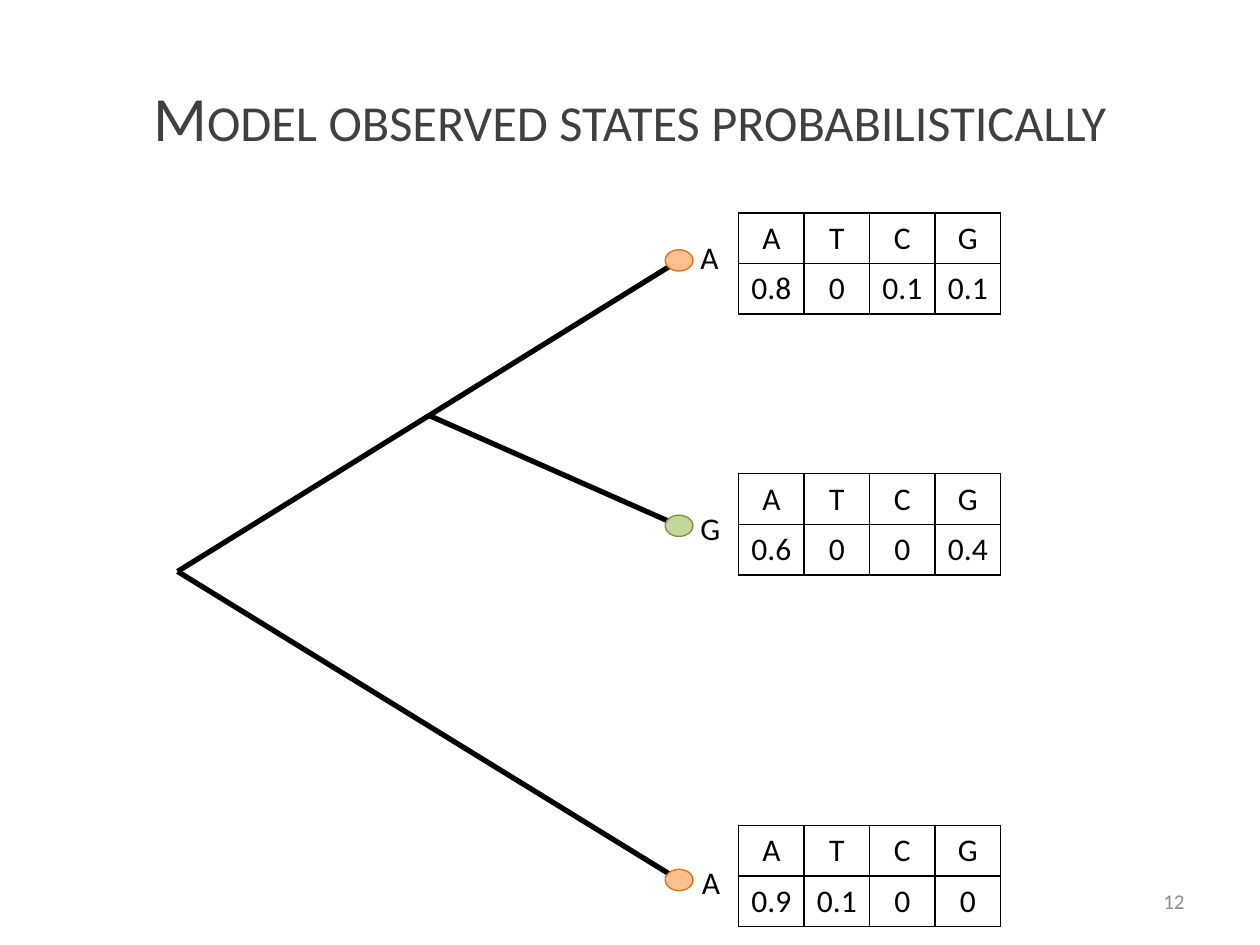
"""Build a slide of a phylogenetic tree with state probabilities at its tips."""
from dataclasses import dataclass, field
from typing import NamedTuple

from lxml.etree import SubElement
from pptx import Presentation
from pptx.dml.color import RGBColor as Rgb
from pptx.enum.shapes import MSO_CONNECTOR as Link, MSO_SHAPE as Preset
from pptx.enum.text import MSO_ANCHOR as Anchor, PP_ALIGN as Align
from pptx.oxml.ns import qn
from pptx.util import Cm, Pt


@dataclass(frozen=True)
class Theme:
    font: str = "Calibri"
    ink: str = "000000"
    title_ink: str = "404040"
    number_ink: str = "8C8C8C"
    title_size: float = 36
    body_size: float = 18
    number_size: float = 12
    branch_width: float = 3
    outline_width: float = 0.75
    border_width: float = 1
    node_colors: dict = field(default_factory=lambda: {
        "A": ("FAC090", "E46C0A"),
        "G": ("C3D69B", "77933C"),
    })


class Point(NamedTuple):
    x: float
    y: float


class Area(NamedTuple):
    left: float
    top: float
    width: float
    height: float

    def lengths(self) -> list:
        return [Cm(value) for value in self]


class Tip(NamedTuple):
    state: str
    center: Point
    label: Point
    table_top: float
    chances: tuple


THEME = Theme()
STATES = ("A", "T", "C", "G")
ROOT, FORK = Point(3.58, 11.52), Point(8.66, 8.38)
TIPS = (
    Tip("A", Point(13.69, 5.25), Point(13.87, 4.67), 4.29, ("0.8", "0", "0.1", "0.1")),
    Tip("G", Point(13.69, 10.6), Point(13.87, 10.13), 9.55, ("0.6", "0", "0", "0.4")),
    Tip("A", Point(13.69, 17.74), Point(13.9, 17.27), 16.64, ("0.9", "0.1", "0", "0")),
)
NODE_WIDTH, NODE_HEIGHT = 0.56, 0.43
TABLE_LEFT, COLUMN_WIDTH, ROW_HEIGHT = 14.89, 1.32, 1.02


def set_all(target: object, values: dict) -> None:
    for name, value in values.items():
        setattr(target, name, value)


def write(frame, text: str, size: float, color: str, align: Align):
    para = frame.paragraphs[0]
    para.alignment = align
    span = para.add_run()
    span.text = text
    set_all(span.font, {"name": THEME.font, "size": Pt(size)})
    span.font.color.rgb = Rgb.from_string(color)
    return span


def add_text(slide, area: Area, text: str, size: float, color: str,
             align: Align, anchor: Anchor = Anchor.MIDDLE, wrap: bool = True):
    box = slide.shapes.add_textbox(*area.lengths())
    set_all(box.text_frame, {"word_wrap": wrap, "vertical_anchor": anchor})
    return write(box.text_frame, text, size, color, align)


def add_branch(slide, start: Point, end: Point) -> None:
    branch = slide.shapes.add_connector(
        Link.STRAIGHT, *(Cm(value) for value in (*start, *end)))
    branch.line.color.rgb = Rgb.from_string(THEME.ink)
    branch.line.width = Pt(THEME.branch_width)
    SubElement(branch.element.spPr, qn("a:effectLst"))


def add_node(slide, tip: Tip) -> None:
    area = Area(tip.center.x - NODE_WIDTH / 2, tip.center.y - NODE_HEIGHT / 2,
                NODE_WIDTH, NODE_HEIGHT)
    node = slide.shapes.add_shape(Preset.OVAL, *area.lengths())
    node.shadow.inherit = False
    fill, outline = THEME.node_colors[tip.state]
    node.fill.solid()
    node.fill.fore_color.rgb = Rgb.from_string(fill)
    node.line.color.rgb = Rgb.from_string(outline)
    node.line.width = Pt(THEME.outline_width)


def add_borders(cell) -> None:
    properties = cell._tc.get_or_add_tcPr()
    for index, side in enumerate(("a:lnL", "a:lnR", "a:lnT", "a:lnB")):
        border = SubElement(properties, qn(side), w=str(Pt(THEME.border_width)))
        paint = SubElement(border, qn("a:solidFill"))
        SubElement(paint, qn("a:srgbClr"), val=THEME.ink)
        properties.insert(index, border)


def add_chances(slide, tip: Tip) -> None:
    rows = (STATES, tip.chances)
    area = Area(TABLE_LEFT, tip.table_top,
                COLUMN_WIDTH * len(STATES), ROW_HEIGHT * len(rows))
    table = slide.shapes.add_table(len(rows), len(STATES), *area.lengths()).table
    set_all(table, {"first_row": False, "horz_banding": False})
    for row, texts in enumerate(rows):
        for column, text in enumerate(texts):
            cell = table.cell(row, column)
            set_all(cell, {"margin_left": Cm(0.1), "margin_right": Cm(0.1)})
            cell.fill.background()
            add_borders(cell)
            write(cell.text_frame, text, THEME.body_size, THEME.ink, Align.CENTER)


def main() -> None:
    deck = Presentation()
    set_all(deck, {"slide_width": Cm(25.4), "slide_height": Cm(19.05)})
    slide = deck.slides.add_slide(deck.slide_layouts[6])

    title = add_text(slide, Area(1.27, 0.76, 22.86, 3.18),
                     "Model observed states probabilistically",
                     THEME.title_size, THEME.title_ink, Align.CENTER)
    title.font._element.set("cap", "small")
    add_text(slide, Area(18.21, 17.65, 5.92, 1.02), "12",
             THEME.number_size, THEME.number_ink, Align.RIGHT)

    for start, tip in zip((ROOT, FORK, ROOT), TIPS):
        add_branch(slide, start, tip.center)
    for tip in TIPS:
        add_node(slide, tip)
        add_text(slide, Area(*tip.label, 0.79, 1.02), tip.state,
                 THEME.body_size, THEME.ink, Align.LEFT, Anchor.TOP, False)
        add_chances(slide, tip)

    deck.save("out.pptx")


if __name__ == "__main__":
    main()
